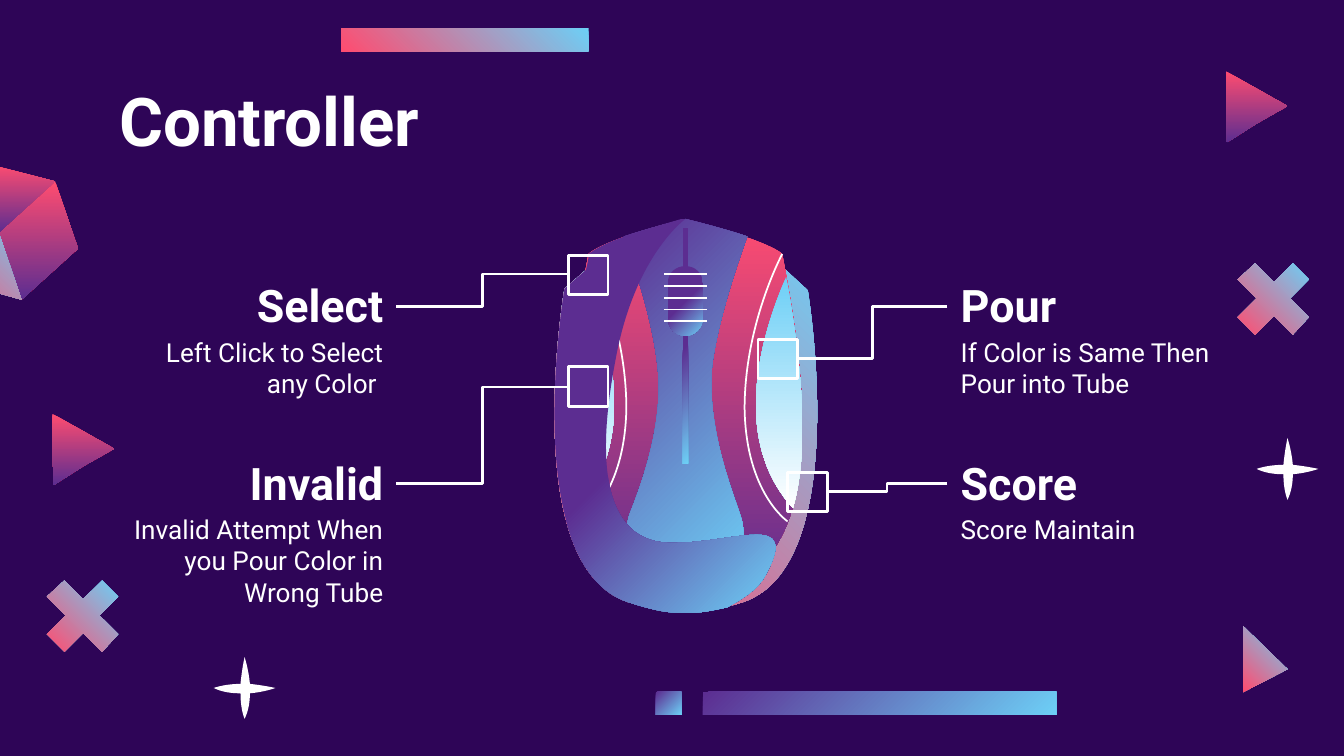
from lxml import etree
from pptx import Presentation
from pptx import util as u
from pptx.dml.color import RGBColor
from pptx.enum import shapes, text
from pptx.oxml.ns import qn

# All coordinates below are on a grid of 100 steps to 2.54 cm.
GRID = u.Cm(2.54) / 100
color = RGBColor.from_string
WHITE = "FFFFFF"

# First colour, last colour, where the blend begins, counter-clockwise angle
SKY_TO_PINK = ("6DCFF6", "FF4C70", 0, 225)
PINK_TO_PURPLE = ("FF4C70", "5C2D91", 0, 270)
PURPLE_TO_SKY = ("5C2D91", "6DCFF6", 0, 315)
LATE_PURPLE_TO_SKY = ("5C2D91", "6DCFF6", 0.5, 315)
SKY_TO_WHITE = ("6DCFF6", WHITE, 0, 270)

presentation = Presentation()
presentation.slide_width = u.Cm(25.4)
presentation.slide_height = u.Cm(14.29)
slide = presentation.slides.add_slide(presentation.slide_layouts[6])
slide.background.fill.solid()
slide.background.fill.fore_color.rgb = color("2E0557")


def add_outline(points, gradient=None, left=0, top=0, line_only=False):
    """Draw lines to (x, y) and Bezier curves to (x1, y1, x2, y2, x, y).

    Without a gradient the shape is white.
    """
    # Points along the curves give the shape its true bounds.
    vertices = [points[0]]
    for point in points[1:]:
        controls = [vertices[-1], point[:2], point[2:4], point[4:]]
        for t in (step / 16 for step in range(1, 16) if len(point) == 6):
            weights = ((1 - t) ** 3, 3 * t * (1 - t) ** 2, 3 * t * t * (1 - t), t ** 3)
            vertices.append(tuple(
                sum(weight * control[axis] for weight, control in zip(weights, controls))
                for axis in (0, 1)))
        vertices.append(point[-2:])
    vertices = [((x + left) * GRID, (y + top) * GRID) for x, y in vertices]
    builder = slide.shapes.build_freeform(*vertices[0])
    builder.add_line_segments(vertices[1:], close=not line_only)
    shape = builder.convert_to_shape()
    shape.shadow.inherit = False

    # Within those bounds, the outline itself is made of true curves.
    outline = next(shape._element.iter(qn("a:path")))
    for segment in outline.findall(qn("a:lnTo")):
        outline.remove(segment)
    for index, point in enumerate(points[1:], start=1):
        segment = etree.Element(qn("a:lnTo" if len(point) == 2 else "a:cubicBezTo"))
        outline.insert(index, segment)
        for x, y in zip(point[::2], point[1::2]):
            etree.SubElement(segment, qn("a:pt"),
                             x=str(round((x + left) * GRID) - shape.left),
                             y=str(round((y + top) * GRID) - shape.top))

    if line_only:
        shape.fill.background()
        shape.line.color.rgb = color(WHITE)
        shape.line.width = u.Pt(0.94)
        return
    shape.line.fill.background()
    if gradient is None:
        shape.fill.solid()
        shape.fill.fore_color.rgb = color(WHITE)
        return
    first, last, begin, angle = gradient
    shape.fill.gradient()
    shape.fill.gradient_angle = angle
    for stop, value, position in zip(shape.fill.gradient_stops, (first, last), (begin, 1)):
        stop.color.rgb = color(value)
        stop.position = position


def add_text(words, left, top, width, height, size, bold=False,
             align=text.PP_ALIGN.LEFT, anchor=text.MSO_ANCHOR.TOP):
    box = slide.shapes.add_textbox(*(round(n * GRID) for n in (left, top, width, height)))
    frame = box.text_frame
    frame.word_wrap = True
    frame.vertical_anchor = anchor
    frame.margin_left = frame.margin_right = round(10 * GRID)
    frame.margin_top = frame.margin_bottom = round(10 * GRID)
    paragraph = frame.paragraphs[0]
    paragraph.alignment = align
    run = paragraph.add_run()
    run.text = words
    run.font.name = "Roboto"
    run.font.size = u.Pt(size)
    run.font.bold = bold
    run.font.color.rgb = color(WHITE)


# Decorations
cross = [(27, 39), (41, 53), (53, 40), (39, 26), (53, 12), (41, 0),
         (27, 14), (13, 0), (0, 12), (14, 26), (0, 40), (13, 53)]
triangle = [(0, 0), (23, 13), (46, 26), (23, 39), (1, 53), (0, 27)]
star = [(23, 0), (23, 0, 21, 9, 20, 20), (13, 20, 6, 21, 0, 23), (6, 26, 13, 27, 20, 27),
        (20, 34, 21, 41, 23, 46), (26, 40, 27, 33, 27, 27), (38, 26, 46, 23, 46, 23),
        (46, 23, 37, 21, 27, 20), (26, 9, 23, 0, 23, 0)]
for points, gradient, places in [
    (cross, SKY_TO_PINK, [(921, 196), (35, 432)]),
    (triangle, PINK_TO_PURPLE, [(39, 308), (912, 53)]),
    (star, None, [(935, 326), (159, 489)]),
    ([(0, 0), (0, 49), (33, 32)], SKY_TO_PINK, [(925, 466)]),
]:
    for left, top in places:
        add_outline(points, gradient, left, top)

cube_front = [(41, 135), (-1, 173), (16, 223), (58, 185)]
cube_side = [(-1, 173), (-51, 159), (-34, 209), (16, 223)]
cube_top = [(-9, 122), (-51, 159), (-1, 173), (41, 135)]
add_outline(cube_front, PINK_TO_PURPLE)
add_outline(cube_side, SKY_TO_PINK)
add_outline(cube_top, PINK_TO_PURPLE)

for left, top, width, gradient in [(254, 21, 184, SKY_TO_PINK),
                                   (523, 515, 263, PURPLE_TO_SKY),
                                   (488, 515, 19, PURPLE_TO_SKY)]:
    add_outline([(0, 0), (width, 0), (width, 17), (0, 17)], gradient, left, top)

# Mouse, from the base up
base = [(601, 216), (576, 193), (510, 178), (445, 193), (420, 215),
        (420, 215, 385, 420, 467, 448), (490, 455, 502, 456, 507, 456),
        (509, 456, 511, 456, 513, 456), (519, 456, 531, 455, 553, 448),
        (635, 420, 601, 216, 601, 216)]
body = [(582, 189), (569, 178, 510, 163, 510, 163), (510, 163, 452, 177, 438, 189),
        (415, 307, 405, 440, 510, 440), (615, 440, 605, 307, 582, 189)]
stripe = [(556, 176), (535, 169, 510, 163, 510, 163), (510, 163, 485, 169, 464, 176),
          (470, 193, 485, 235, 489, 271), (495, 318, 474, 368, 468, 384),
          (463, 401, 467, 429, 510, 429), (552, 429, 557, 401, 551, 384),
          (546, 368, 525, 318, 530, 271), (535, 235, 550, 193, 556, 176)]
slot = [(508, 170), (508, 345), (512, 345), (512, 170)]
wheel = [(510, 198), (503, 198, 497, 203, 497, 210), (497, 237),
         (497, 244, 502, 250, 510, 250), (517, 250, 523, 244, 523, 237),
         (523, 211), (523, 203, 517, 198, 510, 198)]
right_window = [(585, 206), (568, 246, 542, 325, 590, 378), (603, 333, 596, 268, 585, 206)]
left_window = [(435, 206), (424, 268, 417, 333, 430, 378), (477, 325, 452, 245, 435, 206)]
right_seam = [(582, 189), (582, 189, 554, 241, 554, 304), (555, 367, 586, 388, 586, 388)]
left_seam = [(439, 191), (439, 191, 466, 241, 466, 304), (465, 367, 434, 388, 434, 388)]
cover = [(510, 163), (507, 163), (490, 168), (465, 176), (453, 180, 443, 185, 438, 189),
         (438, 193, 437, 197, 436, 201), (420, 215), (420, 215, 385, 420, 467, 448),
         (488, 455, 499, 456, 505, 456), (515, 456), (520, 456, 528, 455, 541, 452),
         (554, 445, 564, 438, 569, 429), (583, 404, 577, 398, 563, 398),
         (548, 398, 524, 404, 502, 404), (500, 404, 498, 404, 497, 404),
         (450, 402, 443, 346, 458, 268), (472, 190, 510, 163, 510, 163)]
for points, gradient in [(base, SKY_TO_PINK), (body, PINK_TO_PURPLE), (stripe, PURPLE_TO_SKY),
                         (slot, LATE_PURPLE_TO_SKY), (wheel, LATE_PURPLE_TO_SKY),
                         (right_window, SKY_TO_WHITE), (left_window, SKY_TO_WHITE)]:
    add_outline(points, gradient)
for seam in (right_seam, left_seam):
    add_outline(seam, line_only=True)
add_outline(cover, LATE_PURPLE_TO_SKY)

# Title and labels
add_text("Controller", 79, 49, 843, 63, 36, bold=True)
for heading, description, left, top, align in [
    ("Select", "Left Click to Select any Color ", 79, 199, text.PP_ALIGN.RIGHT),
    ("Invalid", "Invalid Attempt When you Pour Color in Wrong Tube", 79, 331, text.PP_ALIGN.RIGHT),
    ("Pour", "If Color is Same Then Pour into Tube", 705, 199, text.PP_ALIGN.LEFT),
    ("Score", "Score Maintain", 705, 331, text.PP_ALIGN.LEFT),
]:
    add_text(heading, left, top, 216, 58, 24, bold=True, align=align,
             anchor=text.MSO_ANCHOR.BOTTOM)
    add_text(description, left, top + 41, 216, 53, 14, align=align)

# Ridges on the wheel, and leaders from the labels to the markers
straight, elbow = shapes.MSO_CONNECTOR.STRAIGHT, shapes.MSO_CONNECTOR.ELBOW
ridges = [(straight, 494, y, 526, y, 0.94) for y in (204 + 8.75 * i for i in range(5))]
leaders = [(elbow, 295, 228, 423, 204, 1.5), (elbow, 705, 228, 593, 267, 1.5),
           (elbow, 295, 360, 423, 288, 1.5), (elbow, 705, 360, 615, 366, 1.5)]
for kind, *ends, width in ridges + leaders:
    connector = slide.shapes.add_connector(kind, *(round(n * GRID) for n in ends))
    connector.line.color.rgb = color(WHITE)
    connector.line.width = u.Pt(width)
    etree.SubElement(connector._element.spPr, qn("a:effectLst"))

for left, top in [(423, 190), (423, 273), (564, 252.5), (586, 351.5)]:
    marker = slide.shapes.add_shape(shapes.MSO_SHAPE.RECTANGLE, round(left * GRID),
                                    round(top * GRID), round(29.5 * GRID), round(29.5 * GRID))
    marker.shadow.inherit = False
    marker.fill.background()
    marker.line.color.rgb = color(WHITE)
    marker.line.width = u.Pt(1.5)

presentation.save("out.pptx")
